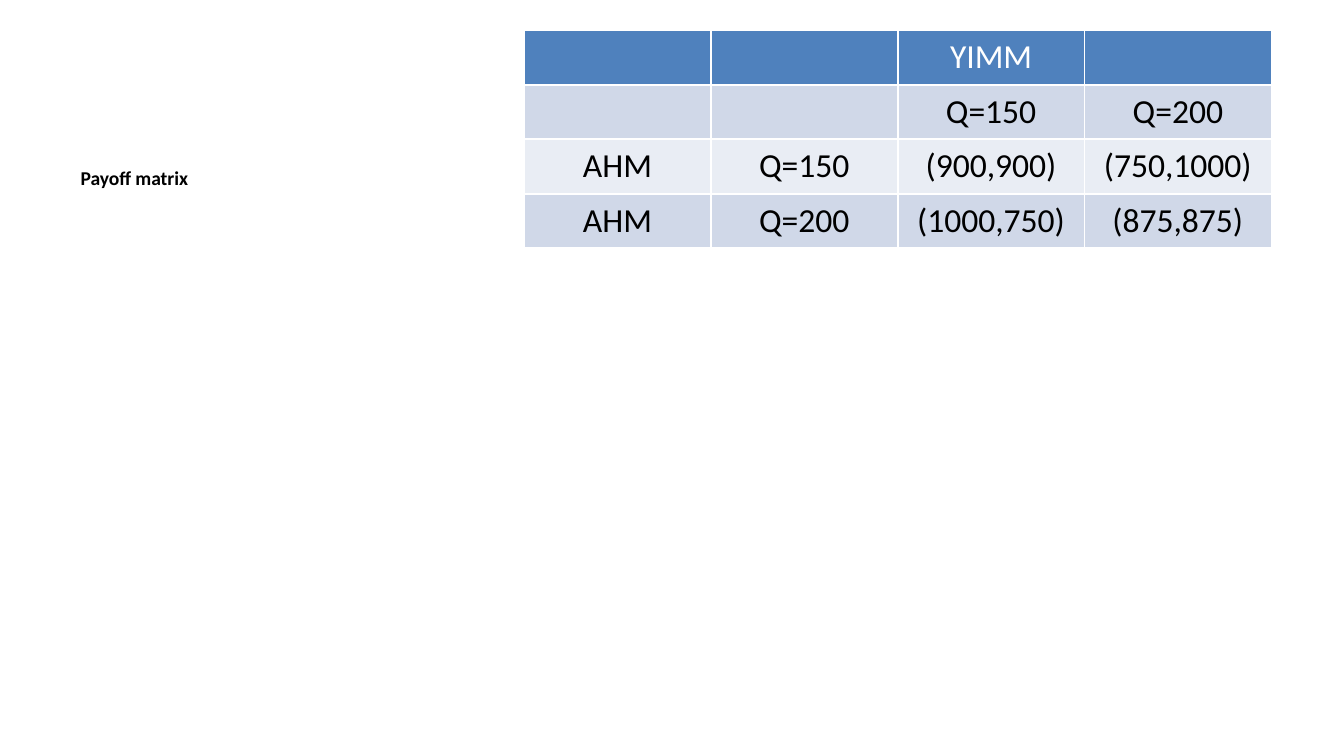
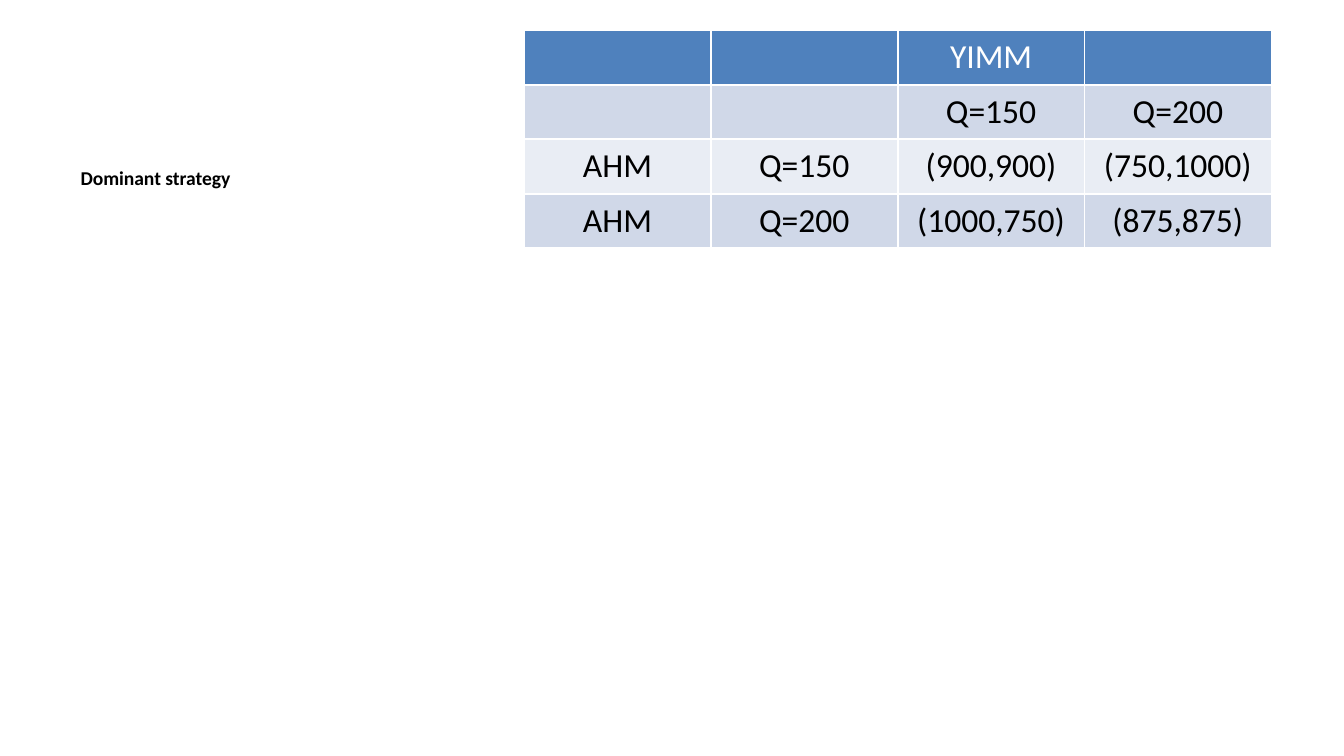
"""Build two slides that set a title beside the same payoff matrix."""

from dataclasses import dataclass

from pptx import Presentation
from pptx.dml.color import RGBColor as Rgb
from pptx.enum.text import MSO_ANCHOR as Anchor, MSO_AUTO_SIZE as AutoSize, PP_ALIGN as Align
from pptx.slide import Slide
from pptx.text.text import _Paragraph as Paragraph
from pptx.util import Inches, Pt

SLIDE_WIDTH = Inches(10)
SLIDE_HEIGHT = SLIDE_WIDTH * 9 // 16
TITLE_ONLY = 5


@dataclass(frozen=True)
class Theme:
    font: str = "Calibri"
    title_size: float = 10.5
    cell_size: float = 18
    ink: Rgb = Rgb(0, 0, 0)
    header_ink: Rgb = Rgb(255, 255, 255)
    header_fill: Rgb = Rgb.from_string("4F81BD")
    bands: tuple[Rgb, ...] = (Rgb.from_string("E9EDF4"), Rgb.from_string("D0D8E8"))


@dataclass(frozen=True)
class Area:
    left: float
    top: float
    width: float
    height: float

    def place(self) -> tuple[int, int, int, int]:
        return (
            int(SLIDE_WIDTH * self.left / 100),
            int(SLIDE_HEIGHT * self.top / 100),
            int(SLIDE_WIDTH * self.width / 100),
            int(SLIDE_HEIGHT * self.height / 100),
        )


THEME = Theme()
TITLE_AREA = Area(5, 21, 32.9, 68.5)
MATRIX_AREA = Area(39, 4, 55.6, 85.2)

TITLES = ("Payoff matrix", "Dominant strategy")
PAYOFFS = (
    ("", "", "YIMM", ""),
    ("", "", "Q=150", "Q=200"),
    ("AHM", "Q=150", "(900,900)", "(750,1000)"),
    ("AHM", "Q=200", "(1000,750)", "(875,875)"),
)


def style(paragraph: Paragraph, size: float, color: Rgb, bold: bool, align: Align) -> None:
    paragraph.alignment = align
    font = paragraph.font
    font.name, font.size, font.bold = THEME.font, Pt(size), bold
    font.color.rgb = color


def add_title(slide: Slide, wording: str) -> None:
    title = slide.shapes.title
    title.left, title.top, title.width, title.height = TITLE_AREA.place()
    frame = title.text_frame
    frame.text = wording
    frame.word_wrap = True
    frame.auto_size = AutoSize.NONE
    frame.vertical_anchor = Anchor.TOP
    style(frame.paragraphs[0], THEME.title_size, THEME.ink, True, Align.LEFT)


def add_payoff_matrix(slide: Slide) -> None:
    place = MATRIX_AREA.place()
    holder = slide.shapes.add_table(len(PAYOFFS), len(PAYOFFS[0]), *place)
    matrix = holder.table
    for row, entries in enumerate(PAYOFFS):
        is_header = row == 0
        fill = THEME.header_fill if is_header else THEME.bands[row % 2]
        ink = THEME.header_ink if is_header else THEME.ink
        matrix.rows[row].height = 0
        for column, entry in enumerate(entries):
            cell = matrix.cell(row, column)
            cell.fill.solid()
            cell.fill.fore_color.rgb = fill
            cell.text = entry
            style(cell.text_frame.paragraphs[0], THEME.cell_size, ink, False, Align.CENTER)
    holder.height = place[3]


def main() -> None:
    deck = Presentation()
    deck.slide_width, deck.slide_height = SLIDE_WIDTH, SLIDE_HEIGHT
    for wording in TITLES:
        slide = deck.slides.add_slide(deck.slide_layouts[TITLE_ONLY])
        add_title(slide, wording)
        add_payoff_matrix(slide)
    deck.save("out.pptx")


if __name__ == "__main__":
    main()
